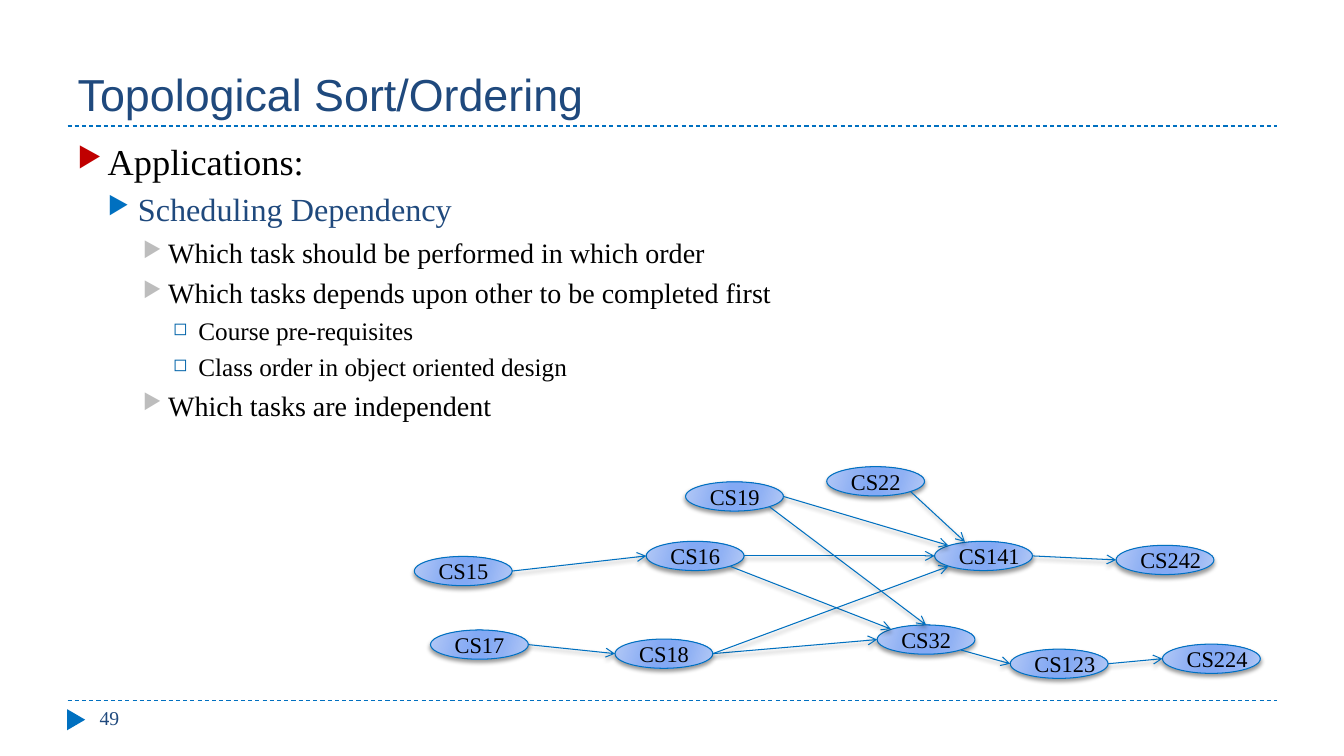
from lxml.etree import SubElement
from pptx import Presentation
from pptx.dml.color import RGBColor
from pptx.enum.dml import MSO_LINE
from pptx.enum.shapes import MSO_CONNECTOR, MSO_SHAPE
from pptx.enum.text import MSO_ANCHOR, MSO_AUTO_SIZE, PP_ALIGN
from pptx.oxml.ns import qn
from pptx.util import Inches, Pt

SERIF = "Times New Roman"
BLUE, NAVY, BLACK = "0070C0", "1F497D", "000000"
GRADIENT = [(0, "B4C9F6"), (30, "90B1F4"), (45, "83A9F4"),
            (55, "83A9F4"), (73, "90B1F4"), (100, "B4C9F6")]
COURSE_WIDTH, COURSE_HEIGHT = 0.97, 0.29

# Level: text indent, hanging, space before, bullet, bullet colour, bullet %, size, colour
LEVELS = [
    (0.3, 0.3, 6, "▶", "C00000", 76, 26, BLACK),
    (0.6, 0.3, 5, "▶", BLUE, 76, 23, NAVY),
    (0.9, 0.25, 5, "▶", "BDBDBD", 76, 20, BLACK),
    (1.2, 0.25, 4, "◻", "0063A9", 70, 18, BLACK),
]
OUTLINE = [
    (0, "Applications:"),
    (1, "Scheduling Dependency"),
    (2, "Which task should be performed in which order"),
    (2, "Which tasks depends upon other to be completed first"),
    (3, "Course pre-requisites"),
    (3, "Class order in object oriented design"),
    (2, "Which tasks are independent"),
]
COURSES = {
    "CS32": (8.7, 6.2), "CS16": (6.41, 5.37), "CS18": (6.1, 6.34),
    "CS15": (4.11, 5.52), "CS17": (4.27, 6.25), "CS19": (6.8, 4.78),
    "CS123": (10.02, 6.44), "CS224": (11.53, 6.39), "CS141": (9.27, 5.37),
    "CS242": (11.07, 5.41), "CS22": (8.2, 4.63),
}
# Points on an ellipse as fractions of its width and height
SITES = {
    "left": (0, 0.5), "right": (1, 0.5), "top": (0.5, 0),
    "top left": (0.14, 0.14), "upper left": (0.31, 0.02),
    "bottom left": (0.14, 0.86), "bottom right": (0.86, 0.86),
}
PREREQUISITES = [
    ("CS15", "right", "CS16", "left"),
    ("CS16", "bottom right", "CS32", "top left"),
    ("CS17", "right", "CS18", "left"),
    ("CS18", "right", "CS32", "left"),
    ("CS123", "right", "CS224", "left"),
    ("CS32", "bottom right", "CS123", "left"),
    ("CS18", "right", "CS141", "bottom left"),
    ("CS141", "right", "CS242", "left"),
    ("CS19", "right", "CS141", "top left"),
    ("CS16", "right", "CS141", "left"),
    ("CS22", "bottom right", "CS141", "upper left"),
    ("CS19", "bottom right", "CS32", "top"),
]


def color(hex_string):
    return RGBColor.from_string(hex_string)


def add_element(parent, tag, **attributes):
    return SubElement(parent, qn(tag), {key: str(value) for key, value in attributes.items()})


def site_point(course, site):
    """Return the slide position of a named point on a course's ellipse."""
    left, top = COURSES[course]
    across, down = SITES[site]
    return left + across * COURSE_WIDTH, top + down * COURSE_HEIGHT


class SlideBuilder:
    def __init__(self, slide):
        self.slide = slide
        self.shapes = slide.shapes

    def format_runs(self, paragraph, size, hex_string, font=SERIF):
        for run in paragraph.runs:
            run.font.name = font
            run.font.size = Pt(size)
            run.font.color.rgb = color(hex_string)

    def title(self, text, left, top, width, height):
        shape = self.shapes.title
        shape.left, shape.top = Inches(left), Inches(top)
        shape.width, shape.height = Inches(width), Inches(height)
        frame = shape.text_frame
        frame.text = text
        frame.vertical_anchor = MSO_ANCHOR.BOTTOM
        frame.auto_size = MSO_AUTO_SIZE.NONE
        frame.paragraphs[0].alignment = PP_ALIGN.LEFT
        self.format_runs(frame.paragraphs[0], 32, NAVY, "Arial")

    def text_box(self, left, top, width, height):
        box = self.shapes.add_textbox(Inches(left), Inches(top), Inches(width), Inches(height))
        box.text_frame.word_wrap = True
        return box.text_frame

    def bullets(self, frame, outline):
        for index, (level, text) in enumerate(outline):
            indent, hanging, before, bullet, bullet_color, percent, size, text_color = LEVELS[level]
            paragraph = frame.paragraphs[0] if index == 0 else frame.add_paragraph()
            paragraph.text = text
            paragraph.level = level
            paragraph.space_before = Pt(before)
            self.format_runs(paragraph, size, text_color)
            properties = paragraph._p.get_or_add_pPr()
            properties.set("marL", str(Inches(indent)))
            properties.set("indent", str(-Inches(hanging)))
            add_element(add_element(properties, "a:buClr"), "a:srgbClr", val=bullet_color)
            add_element(properties, "a:buSzPct", val=percent * 1000)
            add_element(properties, "a:buChar", char=bullet)

    def soft_shadow(self, effects):
        shadow = add_element(effects, "a:outerShdw", blurRad=Pt(3), dist=Pt(2),
                             dir=90 * 60000, rotWithShape=0)
        add_element(add_element(shadow, "a:srgbClr", val=BLACK), "a:alpha", val=40000)

    def line(self, start, end):
        """Add a thin blue line and return it with its empty effect list."""
        connector = self.shapes.add_connector(
            MSO_CONNECTOR.STRAIGHT, *(Inches(value) for value in (*start, *end)))
        connector.line.color.rgb = color(BLUE)
        connector.line.width = Pt(0.75)
        return connector, add_element(connector._element.spPr, "a:effectLst")

    def rule(self, top):
        connector, _ = self.line((0.67, top), (12.67, top))
        connector.line.dash_style = MSO_LINE.DASH

    def arrow(self, start, end):
        connector, effects = self.line(start, end)
        add_element(connector.line._get_or_add_ln(), "a:tailEnd", type="arrow")
        self.soft_shadow(effects)

    def page_marker(self, left, top, width, height):
        marker = self.shapes.add_shape(MSO_SHAPE.ISOSCELES_TRIANGLE, Inches(left), Inches(top),
                                       Inches(width), Inches(height))
        marker.rotation = 90
        marker.shadow.inherit = False
        marker.fill.solid()
        marker.fill.fore_color.rgb = color(BLUE)
        marker.line.fill.background()

    def course(self, name, left, top):
        oval = self.shapes.add_shape(MSO_SHAPE.OVAL, Inches(left), Inches(top),
                                     Inches(COURSE_WIDTH), Inches(COURSE_HEIGHT))
        oval.fill.gradient()
        oval.fill.gradient_angle = 0
        properties = oval._element.spPr
        properties.find(".//" + qn("a:lin")).set("ang", str(16 * 60000))
        stops = properties.find(".//" + qn("a:gsLst"))
        for stop in list(stops):
            stops.remove(stop)
        for position, stop_color in GRADIENT:
            stop = add_element(stops, "a:gs", pos=position * 1000)
            add_element(stop, "a:srgbClr", val=stop_color)
        oval.line.color.rgb = color(BLUE)
        oval.line.width = Pt(0.75)
        oval.shadow.inherit = False
        self.soft_shadow(properties.find(qn("a:effectLst")))
        frame = oval.text_frame
        frame.text = name
        frame.word_wrap = False
        frame.vertical_anchor = MSO_ANCHOR.MIDDLE
        frame.paragraphs[0].alignment = PP_ALIGN.LEFT
        self.format_runs(frame.paragraphs[0], 16, BLACK)


def main():
    presentation = Presentation()
    presentation.slide_width, presentation.slide_height = Inches(13.33), Inches(7.5)
    builder = SlideBuilder(presentation.slides.add_slide(presentation.slide_layouts[5]))
    for top in (6.95, 1.25):
        builder.rule(top)
    builder.page_marker(0.65, 7.05, 0.21, 0.18)
    builder.title("Topological Sort/Ordering", 0.67, 0.17, 12, 1.08)
    page_number = builder.text_box(0.89, 6.95, 2.89, 0.4)
    page_number.text = "49"
    builder.format_runs(page_number.paragraphs[0], 14, NAVY)
    builder.bullets(builder.text_box(0.67, 1.33, 12, 5.4), OUTLINE)
    for name, (left, top) in COURSES.items():
        builder.course(name, left, top)
    for source, source_site, target, target_site in PREREQUISITES:
        builder.arrow(site_point(source, source_site), site_point(target, target_site))
    presentation.save("out.pptx")


if __name__ == "__main__":
    main()
